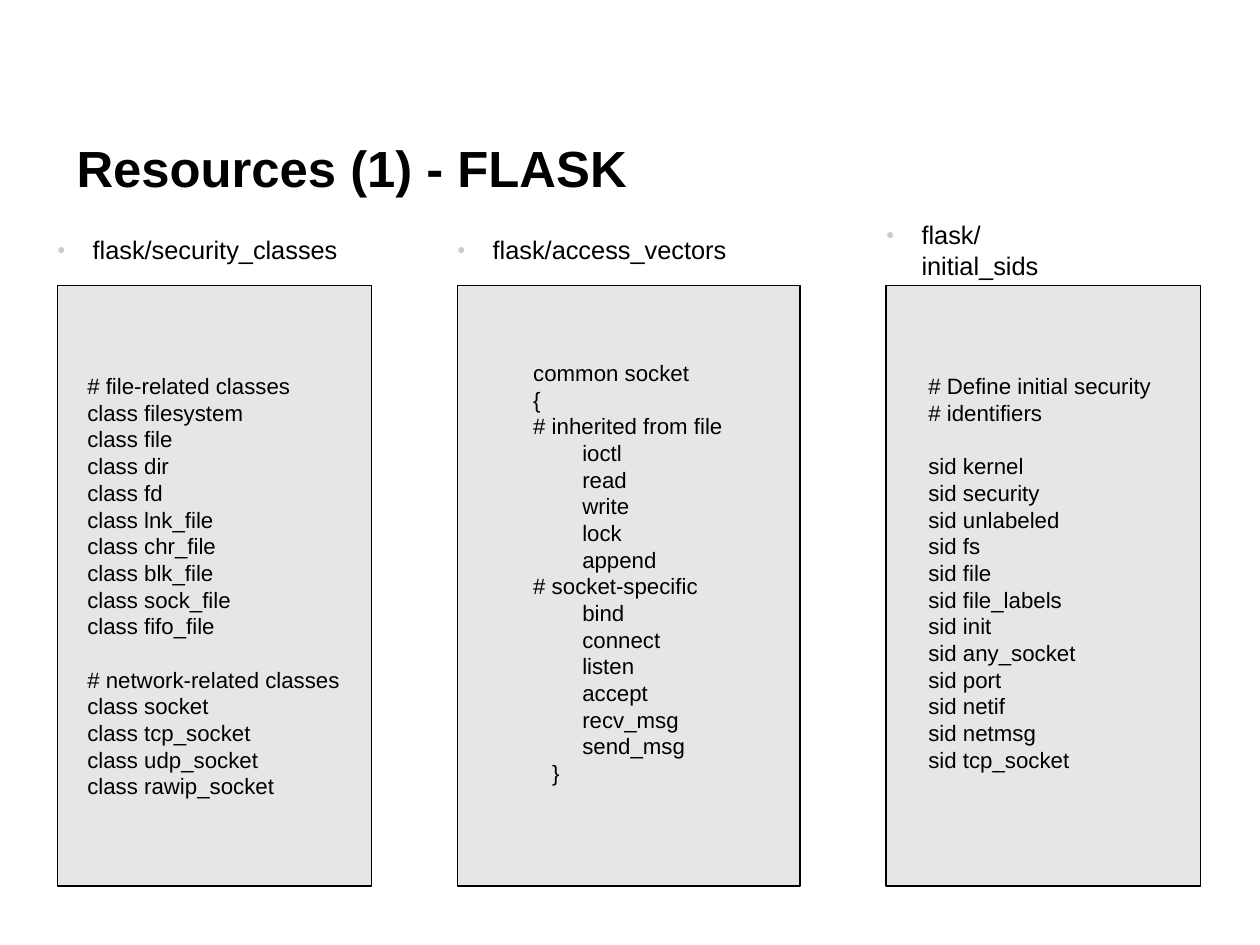
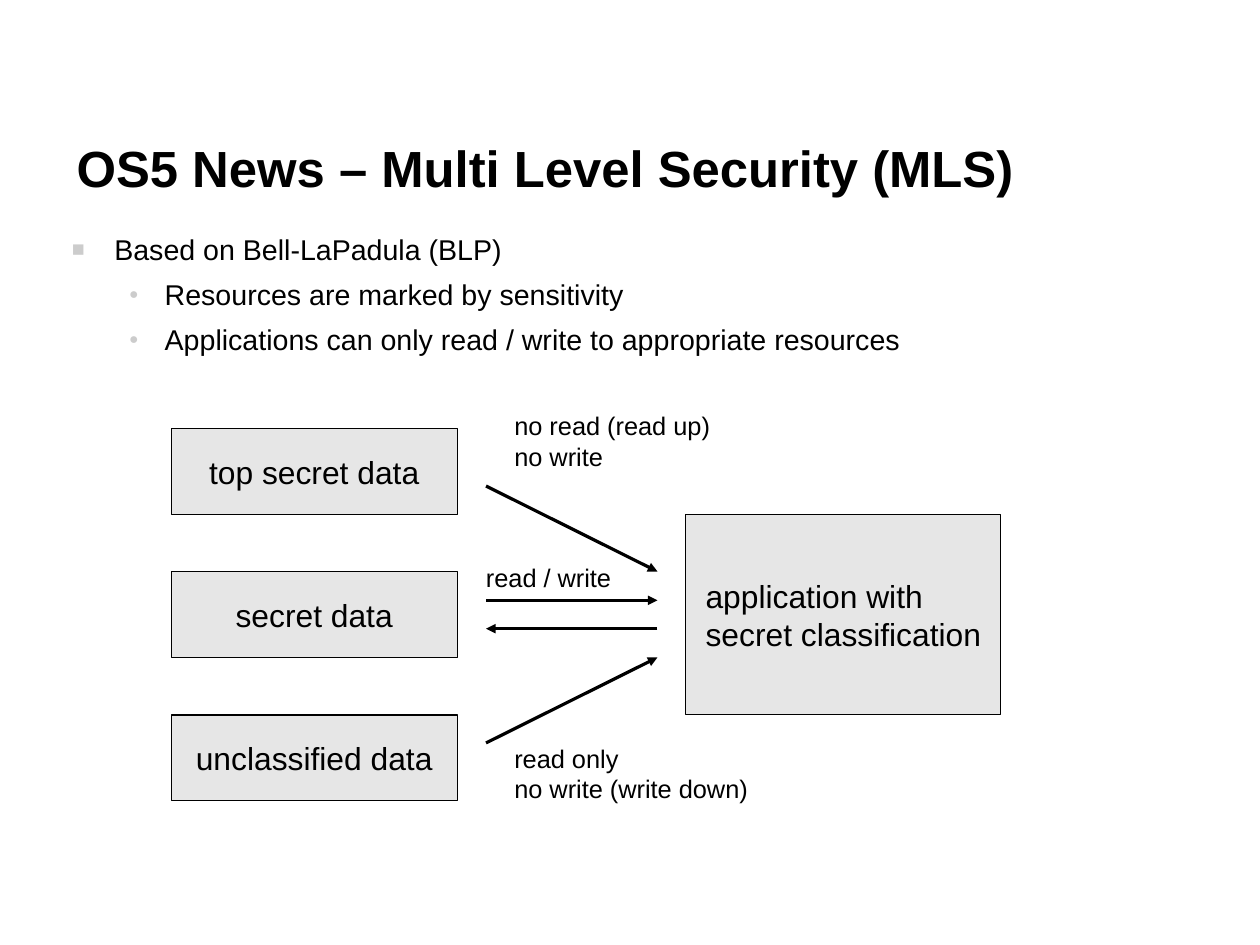
from lxml.etree import SubElement
from pptx import Presentation
from pptx.dml.color import RGBColor
from pptx.enum.shapes import MSO_CONNECTOR, MSO_SHAPE
from pptx.enum.text import MSO_ANCHOR, MSO_AUTO_SIZE, PP_ALIGN
from pptx.oxml.ns import qn
from pptx.util import Cm, Pt

BLACK = RGBColor(0x00, 0x00, 0x00)
PANEL_GREY = RGBColor(0xE6, 0xE6, 0xE6)
BULLET_GREY = RGBColor(0xCC, 0xCC, 0xCC)
FONT = "Arial"
LINE_FACTOR = 1.2

SQUARE_BULLET = {"character": "■", "percent": 75, "margin": Cm(0.94), "hanging": Cm(0.94)}
ROUND_BULLET = {"character": "●", "percent": 55, "margin": Cm(2.06), "hanging": Cm(0.79)}

SECURITY_CLASSES = [
    ["# file-related classes", "class filesystem", "class file", "class dir", "class fd",
     "class lnk_file", "class chr_file", "class blk_file", "class sock_file", "class fifo_file"],
    ["# network-related classes", "class socket", "class tcp_socket", "class udp_socket",
     "class rawip_socket"],
]
ACCESS_VECTORS = [
    ["common socket", "{", "# inherited from file", "\tioctl", "\tread", "\twrite", "\tlock",
     "\tappend", "# socket-specific", "\tbind", "\tconnect", "\tlisten", "\taccept",
     "\trecv_msg", "\tsend_msg", "}"],
]
INITIAL_SIDS = [
    ["# Define initial security", "# identifiers"],
    ["sid kernel", "sid security", "sid unlabeled", "sid fs", "sid file", "sid file_labels",
     "sid init", "sid any_socket", "sid port", "sid netif", "sid netmsg", "sid tcp_socket"],
]


def apply_format(target, values):
    for name, value in values.items():
        setattr(target, name, value)


def format_frame(frame, **changes):
    values = {
        "word_wrap": True, "auto_size": MSO_AUTO_SIZE.NONE, "vertical_anchor": MSO_ANCHOR.TOP,
        "margin_left": 0, "margin_right": 0, "margin_top": 0, "margin_bottom": 0,
    }
    apply_format(frame, {**values, **changes})


def set_indent(paragraph, margin, hanging=0):
    properties = paragraph._p.get_or_add_pPr()
    properties.set("marL", str(int(margin)))
    properties.set("indent", str(-int(hanging)))


def add_bullet(paragraph, bullet):
    set_indent(paragraph, bullet["margin"], bullet["hanging"])
    properties = paragraph._p.get_or_add_pPr()
    colour = SubElement(properties, qn("a:buClr"))
    SubElement(colour, qn("a:srgbClr"), val=str(BULLET_GREY))
    SubElement(properties, qn("a:buSzPct"), val=str(bullet["percent"] * 1000))
    SubElement(properties, qn("a:buFont"), typeface=FONT)
    SubElement(properties, qn("a:buChar"), char=bullet["character"])


def write_lines(frame, lines, size, alignment=PP_ALIGN.LEFT, bold=False):
    for index, line in enumerate(lines):
        paragraph = frame.paragraphs[0] if index == 0 else frame.add_paragraph()
        apply_format(paragraph, {
            "alignment": alignment, "space_before": Pt(0), "space_after": Pt(0),
            "line_spacing": Pt(size * LINE_FACTOR),
        })
        run = paragraph.add_run()
        run.text = line
        apply_format(run.font, {"name": FONT, "size": Pt(size), "bold": bold})
        run.font.color.rgb = BLACK
    return frame.paragraphs


def place(shape, left, top, width, height):
    apply_format(shape, {"left": left, "top": top, "width": width, "height": height})


def add_titled_slide(presentation, layout_index, title):
    slide = presentation.slides.add_slide(presentation.slide_layouts[layout_index])
    shape = slide.shapes.title
    place(shape, Cm(1.7), Cm(2.77), Cm(23.8), Cm(1.88))
    format_frame(shape.text_frame, vertical_anchor=MSO_ANCHOR.MIDDLE)
    write_lines(shape.text_frame, [title], 32, bold=True)
    return slide


def add_panel(slide, left, top, width, height, **frame_changes):
    shape = slide.shapes.add_shape(MSO_SHAPE.RECTANGLE, left, top, width, height)
    shape.shadow.inherit = False
    shape.fill.solid()
    shape.fill.fore_color.rgb = PANEL_GREY
    shape.line.color.rgb = BLACK
    shape.line.width = Pt(0)
    format_frame(shape.text_frame, vertical_anchor=MSO_ANCHOR.MIDDLE, **frame_changes)
    return shape.text_frame


def add_label(slide, left, top, width, height, lines, **frame_changes):
    frame = slide.shapes.add_textbox(left, top, width, height).text_frame
    format_frame(frame, **frame_changes)
    return write_lines(frame, lines, 16)


def add_arrow(slide, start_x, start_y, end_x, end_y):
    connector = slide.shapes.add_connector(
        MSO_CONNECTOR.STRAIGHT, start_x, start_y, end_x, end_y)
    connector.line.color.rgb = BLACK
    connector.line.width = Pt(0)
    SubElement(connector.line._get_or_add_ln(), qn("a:tailEnd"), type="triangle")
    SubElement(connector._element.spPr, qn("a:effectLst"))


def add_listing(slide, left, width, inset, bottom_inset, groups):
    frame = add_panel(slide, left, Cm(6.35), width, Cm(13.34),
                      margin_left=inset, margin_bottom=bottom_inset)
    lines = [line for group in groups for line in group]
    paragraphs = write_lines(frame, [line.strip() for line in lines], 14)
    for line, paragraph in zip(lines, paragraphs):
        if line.startswith("\t"):
            set_indent(paragraph, Cm(1.09))
        elif line == "}":
            set_indent(paragraph, Cm(0.42))
    group_start = 0
    for group in groups[:-1]:
        group_start += len(group)
        paragraphs[group_start].space_before = Pt(14 * LINE_FACTOR)


def build_resources(presentation):
    slide = add_titled_slide(presentation, 5, "Resources (1) - FLASK")
    columns = [
        ("flask/security_classes", 1.27, 6.99, 7.8, 0.67, 0, SECURITY_CLASSES),
        ("flask/access_vectors", 10.16, 7.62, 8.26, 1.69, 0.59, ACCESS_VECTORS),
        ("flask/initial_sids", 19.69, 6.99, 5.72, 0.94, 0.59, INITIAL_SIDS),
    ]
    for heading, left, width, heading_width, inset, bottom_inset, groups in columns:
        paragraphs = add_label(slide, Cm(left - 1.27), Cm(4.7), Cm(heading_width), Cm(1.7),
                               [heading], vertical_anchor=MSO_ANCHOR.MIDDLE)
        add_bullet(paragraphs[0], ROUND_BULLET)
        add_listing(slide, Cm(left), Cm(width), Cm(inset), Cm(bottom_inset), groups)


def build_security_levels(presentation):
    slide = add_titled_slide(presentation, 1, "OS5 News – Multi Level Security (MLS)")
    body = slide.placeholders[1]
    place(body, Cm(1.6), Cm(5.16), Cm(23.8), Cm(14.7))
    format_frame(body.text_frame)
    points = write_lines(body.text_frame, [
        "Based on Bell-LaPadula (BLP)",
        "Resources are marked by sensitivity",
        "Applications can only read / write to appropriate resources",
    ], 18)
    add_bullet(points[0], SQUARE_BULLET)
    for point in points[1:]:
        apply_format(point, {"level": 1, "space_before": Pt(6.6)})
        add_bullet(point, ROUND_BULLET)

    for row, name in enumerate(["top secret data", "secret data", "unclassified data"]):
        frame = add_panel(slide, Cm(3.81), Cm(9.53 + row * 3.18), Cm(6.35), Cm(1.91))
        write_lines(frame, [name], 20, PP_ALIGN.CENTER)
    frame = add_panel(slide, Cm(15.24), Cm(11.43), Cm(6.99), Cm(4.45), margin_left=Cm(0.44))
    write_lines(frame, ["application with", "secret classification"], 20)

    data_side, application_side = Cm(10.8), Cm(14.61)
    add_arrow(slide, data_side, Cm(13.34), application_side, Cm(13.34))
    add_arrow(slide, application_side, Cm(13.97), data_side, Cm(13.97))
    add_arrow(slide, data_side, Cm(16.51), application_side, Cm(14.61))
    add_arrow(slide, data_side, Cm(10.8), application_side, Cm(12.7))

    add_label(slide, Cm(11.43), Cm(9.12), Cm(5), Cm(1.68), ["no read (read up)", "no write"])
    add_label(slide, data_side, Cm(12.5), Cm(3.18), Cm(0.84), ["read / write"])
    add_label(slide, Cm(11.43), Cm(16.51), Cm(5.72), Cm(1.91),
              ["read only", "no write (write down)"])


def main():
    presentation = Presentation()
    apply_format(presentation, {"slide_width": Cm(28), "slide_height": Cm(21)})
    build_resources(presentation)
    build_security_levels(presentation)
    presentation.save("out.pptx")


if __name__ == "__main__":
    main()
